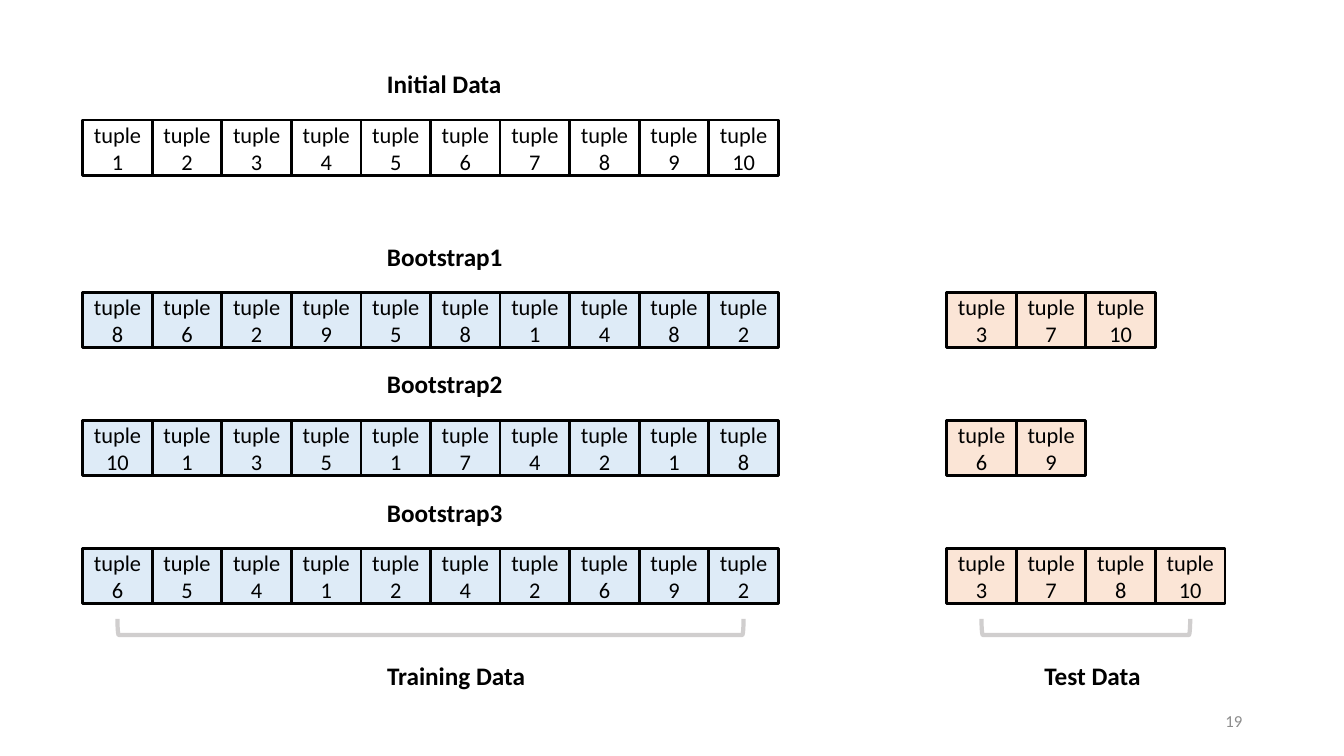
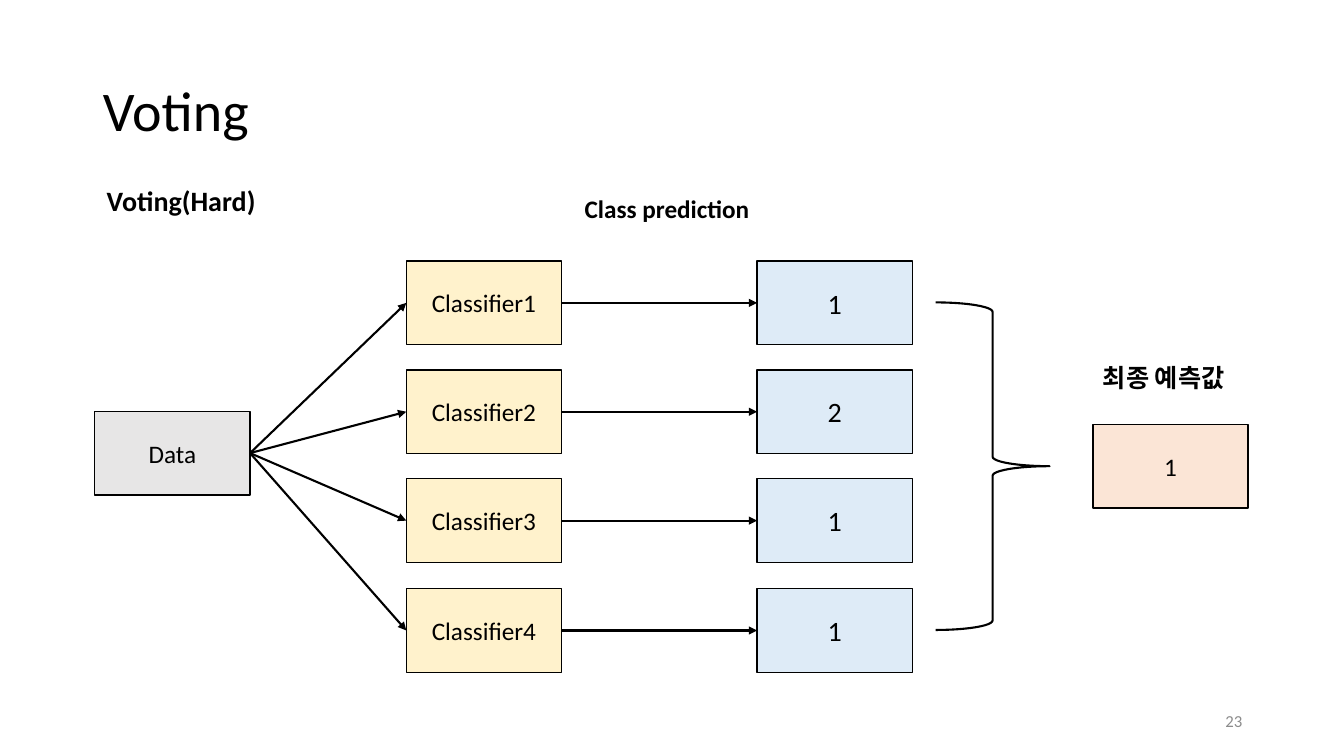
import pptx
import pptx.util
import pptx.dml.color
import pptx.enum.shapes
import pptx.enum.text
import pptx.oxml
import pptx.oxml.ns

SHAPE = pptx.enum.shapes.MSO_SHAPE
ALIGN = pptx.enum.text.PP_ALIGN
MIDDLE = pptx.enum.text.MSO_ANCHOR.MIDDLE
RIGHT_SIDE, LEFT_SIDE = 3, 1

BLACK, WHITE = "000000", "FFFFFF"
BLUE, ORANGE, YELLOW, GRAY = "DEEBF7", "FBE5D6", "FFF2CC", "E7E6E6"
BRACKET_GRAY, NUMBER_GRAY = "D0CECE", "8C8C8C"


def px(length):
    """100 px to the inch."""
    return pptx.util.Emu(round(length * 9144))


def color(code):
    return pptx.dml.color.RGBColor.from_string(code)


class Builder:
    """The deck's style and its current page."""

    font = "Calibri"

    def __init__(self):
        self.deck = pptx.Presentation()
        self.deck.slide_width, self.deck.slide_height = px(1333), px(750)
        self.page = None

    def start(self, number, title=None):
        layout = self.deck.slide_layouts[5 if title else 6]
        self.page = self.deck.slides.add_slide(layout)
        if title:
            self.title(title)
        self.label(942, 695, 300, 40, str(number), size=12, code=NUMBER_GRAY,
                   bold=False, align=ALIGN.RIGHT, anchor=MIDDLE)

    def set_text(self, frame, text, size, code=BLACK, bold=False, align=ALIGN.LEFT):
        frame.word_wrap = True
        para = frame.paragraphs[0]
        para.text = text
        para.alignment = align
        para.font.name = self.font
        para.font.size = pptx.util.Pt(size)
        para.font.bold = bold
        para.font.color.rgb = color(code)
        return para

    def title(self, text):
        box = self.page.shapes.title
        box.left, box.top, box.width, box.height = map(px, (92, 40, 1150, 145))
        box.text_frame.vertical_anchor = MIDDLE
        self.set_text(box.text_frame, text, 40).line_spacing = 0.9

    def label(self, x, y, width, height, text, size=18, code=BLACK, bold=True,
              align=ALIGN.LEFT, anchor=pptx.enum.text.MSO_ANCHOR.TOP):
        box = self.page.shapes.add_textbox(px(x), px(y), px(width), px(height))
        box.text_frame.vertical_anchor = anchor
        self.set_text(box.text_frame, text, size, code, bold, align)

    def shape(self, kind, x, y, width, height, line_width, line=BLACK):
        shape = self.page.shapes.add_shape(kind, px(x), px(y), px(width), px(height))
        shape.shadow.inherit = False
        shape.fill.background()
        shape.line.color.rgb = color(line)
        shape.line.width = pptx.util.Pt(line_width)
        return shape

    def box(self, x, y, width, height, text, fill, size=18, line_width=1):
        box = self.shape(SHAPE.RECTANGLE, x, y, width, height, line_width)
        box.fill.solid()
        box.fill.fore_color.rgb = color(fill)
        box.text_frame.vertical_anchor = MIDDLE
        self.set_text(box.text_frame, text, size, align=ALIGN.CENTER)
        return box

    def bracket(self, x, y, width, height):
        """A bracket that opens upward: a left bracket turned on its side."""
        left = x + (width - height) / 2
        top = y + (height - width) / 2
        bracket = self.shape(SHAPE.LEFT_BRACKET, left, top, height, width,
                             3, BRACKET_GRAY)
        bracket.rotation = 270

    def arrow(self, source, target):
        arrow = self.page.shapes.add_connector(
            pptx.enum.shapes.MSO_CONNECTOR.STRAIGHT, 0, 0, 0, 0)
        arrow.begin_connect(source, RIGHT_SIDE)
        arrow.end_connect(target, LEFT_SIDE)
        arrow.line.color.rgb = color(BLACK)
        arrow.line.width = pptx.util.Pt(1.5)
        namespace = pptx.oxml.ns.nsdecls("a")
        properties = arrow.element.spPr
        properties.find(pptx.oxml.ns.qn("a:ln")).append(
            pptx.oxml.parse_xml(f'<a:tailEnd {namespace} type="triangle"/>'))
        properties.append(pptx.oxml.parse_xml(f"<a:effectLst {namespace}/>"))


CELL_WIDTH, CELL_HEIGHT = 69, 55
TRAIN_LEFT, TEST_LEFT, LABEL_LEFT = 82, 939, 374


def bootstrap_page(build):
    build.start(19)

    # Sampled tuples, and the tuples left out for testing
    rows = [
        ("Initial Data", 119, WHITE, range(1, 11), []),
        ("Bootstrap1", 290, BLUE, [8, 6, 2, 9, 5, 8, 1, 4, 8, 2], [3, 7, 10]),
        ("Bootstrap2", 417, BLUE, [10, 1, 3, 5, 1, 7, 4, 2, 1, 8], [6, 9]),
        ("Bootstrap3", 544, BLUE, [6, 5, 4, 1, 2, 4, 2, 6, 9, 2], [3, 7, 8, 10]),
    ]
    for name, top, fill, training, test in rows:
        build.label(LABEL_LEFT, top - 56, 244, 40, name)
        for left, numbers, shade in ((TRAIN_LEFT, training, fill),
                                     (TEST_LEFT, test, ORANGE)):
            for column, number in enumerate(numbers):
                build.box(left + column * CELL_WIDTH, top, CELL_WIDTH, CELL_HEIGHT,
                          f"tuple{number}", shade, size=16, line_width=2)

    # Brackets run from the middle of the first cell to that of the last
    for left, cells, label_left, name in (
            (TRAIN_LEFT, 10, LABEL_LEFT, "Training Data"),
            (TEST_LEFT, 4, 1026, "Test Data")):
        build.bracket(left + CELL_WIDTH / 2, 614, (cells - 1) * CELL_WIDTH, 16)
        build.label(label_left, 650, 171, 40, name)


def voting_page(build):
    build.start(23, "Voting")
    width, height = 154, 83

    # Headings
    build.label(96, 177, 192, 44, "Voting(Hard)", size=20)
    build.label(570, 187, 192, 40, "Class prediction")
    build.label(1084, 355, 192, 40, "최종 예측값")

    # Data, classifiers and their predictions
    data = build.box(94, 408, width, height, "Data", GRAY)
    for index, prediction in enumerate([1, 2, 1, 1]):
        top = 259 + index * 325 // 3
        classifier = build.box(403, top, width, height,
                               f"Classifier{index + 1}", YELLOW)
        result = build.box(751, top, width, height, str(prediction), BLUE, size=20)
        build.arrow(data, classifier)
        build.arrow(classifier, result)

    # Final vote
    build.shape(SHAPE.RIGHT_BRACE, 928, 300, 113, 325, 1.5)
    build.box(1084, 421, width, height, "1", ORANGE)


def main():
    build = Builder()
    bootstrap_page(build)
    voting_page(build)
    build.deck.save("out.pptx")


if __name__ == "__main__":
    main()
